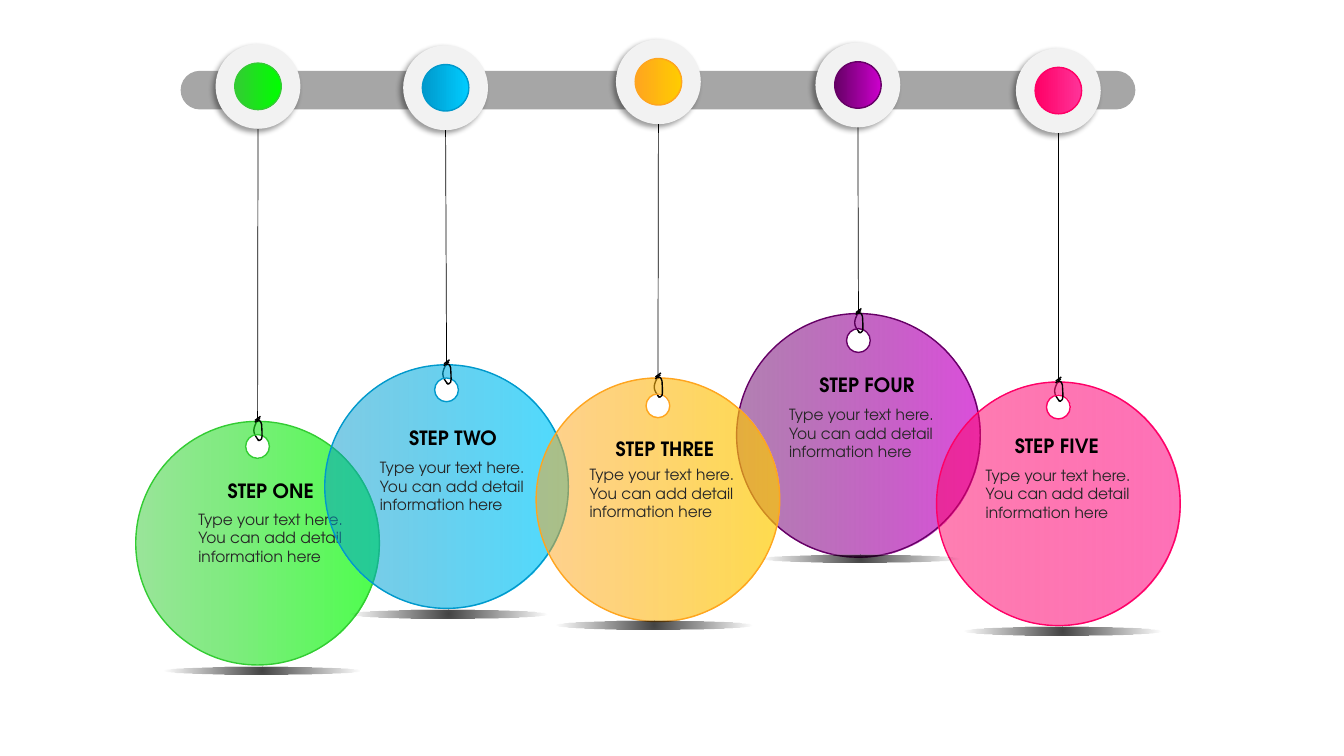
from dataclasses import dataclass

from pptx import Presentation
from pptx.dml.color import RGBColor
from pptx.enum.shapes import MSO_CONNECTOR, MSO_SHAPE
from pptx.enum.text import MSO_AUTO_SIZE, PP_ALIGN
from pptx.oxml import parse_xml
from pptx.oxml.ns import nsdecls, qn
from pptx.util import Pt


@dataclass(frozen=True)
class Theme:
    font: str = "TeX Gyre Adventor"
    title_size: float = 14
    body_size: float = 11
    ink: str = "000000"
    body: str = "262626"
    rail: str = "A6A6A6"
    knob: str = "F2F2F2"


@dataclass(frozen=True)
class Step:
    title: str
    dark: str
    light: str
    disc: tuple
    knob: tuple
    hole_top: float
    title_box: tuple
    body_at: tuple
    shade_at: tuple


THEME = Theme()
DISC, HOLE, KNOB, CORE = 174, 17, 60.6, 33.2
SCALE = 100
BODY = "Type your text here. You can add detail information here"
STEPS = [
    Step("STEP ONE", "33CC33", "00FF00", (97, 301), (154, 31.4), 9.4,
         (58.5, 37.4, 78), (37.6, 59.8), (19.5, 175)),
    Step("STEP TWO", "0099CC", "00CCFF", (232, 260.6), (288, 32.4), 9.4,
         (53.2, 40.3, 78), (32.3, 63.4), (18, 175)),
    Step("STEP THREE", "FFA51F", "FFCC00", (383, 270), (440, 28.1), 11.4,
         (49.7, 38.9, 86), (31, 59), (13.7, 173.5)),
    Step("STEP FOUR", "660066", "CC00CC", (526.2, 224), (582.5, 30.4), 10.8,
         (52, 38.9, 83), (30.3, 61.9), (18, 172)),
    Step("STEP FIVE", "FF0066", "FF3399", (669, 272.9), (725.7, 34.4), 9.4,
         (48.8, 33.8, 75), (28, 56.2), (19.3, 175)),
]
DISC_ORDER = [3, 0, 1, 2, 4]
LOOP_BACK = [(0.9, 13.9), (-0.7, 11.5), (-2.7, 9.4), (-2.7, 6.5),
             (-2.7, 4.3), (-1.4, 1.4), (0, -0.7)]
LOOP_FRONT = [(-0.4, 0), (1.6, -1.4), (2.2, 0), (2.9, 2.2), (2.9, 4.3),
              (3.6, 10.8), (2.9, 12.4), (2.2, 14.4), (0.7, 13.7), (0, 13)]
TIES = [[(-2, 0.7), (1.7, -2.2)], [(-1.8, -0.7), (2.1, -3.6)]]
K = 0.55
UNIT_CIRCLE = [(1, 0), (1, K), (K, 1), (0, 1), (-K, 1), (-1, K), (-1, 0),
               (-1, -K), (-K, -1), (0, -1), (K, -1), (1, -K), (1, 0)]


def add_text(slide, box, text, size, color, bold=False, wrap=True):
    s = slide.shapes.add_textbox(*map(Pt, box))
    tf = s.text_frame
    tf.word_wrap = wrap
    tf.auto_size = MSO_AUTO_SIZE.SHAPE_TO_FIT_TEXT
    p = tf.paragraphs[0]
    p.alignment = PP_ALIGN.LEFT
    r = p.add_run()
    r.text = text
    r.font.name, r.font.size, r.font.bold = THEME.font, Pt(size), bold
    r.font.color.rgb = RGBColor.from_string(color)


def style(s, fill=None, line=None, width=1):
    s.shadow.inherit = False
    if fill:
        s.fill.solid()
        s.fill.fore_color.rgb = RGBColor.from_string(fill)
    else:
        s.fill.background()
    if line:
        s.line.color.rgb = RGBColor.from_string(line)
        s.line.width = Pt(width)
    else:
        s.line.fill.background()
    return s


def add_gradient(s, start, end, alphas=(100, 100), radial=False):
    stops = "".join(
        f'<a:gs pos="{pos}"><a:srgbClr val="{color}">'
        f'<a:alpha val="{alpha * 1000}"/></a:srgbClr></a:gs>'
        for pos, color, alpha in zip((0, 100000), (start, end), alphas))
    direction = ('<a:path path="circle"><a:fillToRect l="50000" t="50000" '
                 'r="50000" b="50000"/></a:path>' if radial
                 else '<a:lin ang="0" scaled="0"/>')
    grad = parse_xml(f'<a:gradFill {nsdecls("a")} rotWithShape="1">'
                     f'<a:gsLst>{stops}</a:gsLst>{direction}</a:gradFill>')
    pr = s._element.spPr
    pr.replace(pr.find(qn("a:noFill")), grad)


def add_preset(slide, kind, box, **fmt):
    return style(slide.shapes.add_shape(kind, *map(Pt, box)), **fmt)


def bend_lines(s):
    outline = s._element.spPr.find(".//" + qn("a:path"))
    lines = outline.findall(qn("a:lnTo"))
    for trio in zip(lines[::3], lines[1::3], lines[2::3]):
        bend = parse_xml(f'<a:cubicBezTo {nsdecls("a")}/>')
        trio[0].addprevious(bend)
        for line in trio:
            bend.append(line[0])
            outline.remove(line)


def add_outline(slide, contours, closed, **fmt):
    scaled = [[(x * SCALE, y * SCALE) for x, y in c] for c in contours]
    builder = slide.shapes.build_freeform(*scaled[0][0], scale=Pt(1) / SCALE)
    for i, contour in enumerate(scaled):
        if i:
            builder.move_to(*contour[0])
        builder.add_line_segments(contour[1:], close=closed)
    s = builder.convert_to_shape()
    bend_lines(s)
    return style(s, **fmt)


def circle(x, y, size):
    r = size / 2
    return [(x + r + r * dx, y + r + r * dy) for dx, dy in UNIT_CIRCLE]


def draw_thread(slide, box, points):
    x, y = box[0] + DISC / 2, box[1]
    add_outline(slide, [[(x + dx, y + dy) for dx, dy in points]], False, line=THEME.ink)


def draw_disc(slide, box, step):
    x, y = box
    hole = circle(x + (DISC - HOLE) / 2, y + step.hole_top, HOLE)
    s = add_outline(slide, [hole, circle(x, y, DISC)], True, line=step.dark)
    add_gradient(s, step.dark, step.light, (50, 70))


def draw_body(slide, box, step):
    dx, dy = step.body_at
    add_text(slide, (box[0] + dx, box[1] + dy, 134, 47.5), BODY,
             THEME.body_size, THEME.body)


def draw_title(slide, box, step):
    dx, dy, width = step.title_box
    add_text(slide, (box[0] + dx, box[1] + dy, width, 24.5), step.title,
             THEME.title_size, THEME.ink, bold=True, wrap=False)


def draw_shade(slide, box, step):
    dx, dy = step.shade_at
    s = add_preset(slide, MSO_SHAPE.OVAL, (box[0] + dx, box[1] + dy, 141, 6))
    add_gradient(s, THEME.ink, THEME.ink, (74, 0), radial=True)


def draw_rail(slide, box):
    s = add_preset(slide, MSO_SHAPE.ROUNDED_RECTANGLE, box, fill=THEME.rail)
    s.adjustments[0] = 0.5


def draw_knob(slide, box, step):
    x, y = box
    s = add_preset(slide, MSO_SHAPE.OVAL, (x, y, KNOB, KNOB), fill=THEME.knob)
    s._element.spPr.find(qn("a:effectLst")).append(parse_xml(
        f'<a:outerShdw {nsdecls("a")} blurRad="{Pt(4)}" dist="{Pt(3)}" dir="8100000" '
        f'algn="tr" rotWithShape="0"><a:srgbClr val="{THEME.ink}">'
        '<a:alpha val="40000"/></a:srgbClr></a:outerShdw>'))
    gap = (KNOB - CORE) / 2
    core = add_preset(slide, MSO_SHAPE.OVAL, (x + gap, y + gap, CORE, CORE), line=step.dark)
    add_gradient(core, step.dark, step.light)


def draw_string(slide, knob, disc):
    ends = (knob[0] + KNOB / 2, knob[1] + KNOB, disc[0] + DISC / 2, disc[1])
    s = slide.shapes.add_connector(MSO_CONNECTOR.STRAIGHT, *map(Pt, ends))
    s.line.color.rgb = RGBColor.from_string(THEME.ink)
    s.line.width = Pt(0.5)
    s._element.spPr.append(parse_xml(f'<a:effectLst {nsdecls("a")}/>'))


def draw_hanging_steps(slide):
    for step in STEPS:
        draw_thread(slide, step.disc, LOOP_BACK)
    for i in DISC_ORDER:
        draw_disc(slide, STEPS[i].disc, STEPS[i])
        if i == 0:
            draw_body(slide, STEPS[i].disc, STEPS[i])
    draw_rail(slide, (129, 50.6, 682, 27.6))
    for step in STEPS:
        draw_knob(slide, step.knob, step)
        draw_string(slide, step.knob, step.disc)
        for points in [LOOP_FRONT, *TIES]:
            draw_thread(slide, step.disc, points)
        draw_shade(slide, step.disc, step)
        draw_title(slide, step.disc, step)
    for step in STEPS[1:]:
        draw_body(slide, step.disc, step)


def main():
    prs = Presentation()
    prs.slide_width, prs.slide_height = Pt(960), Pt(540)
    draw_hanging_steps(prs.slides.add_slide(prs.slide_layouts[6]))
    prs.save("out.pptx")


if __name__ == "__main__":
    main()
